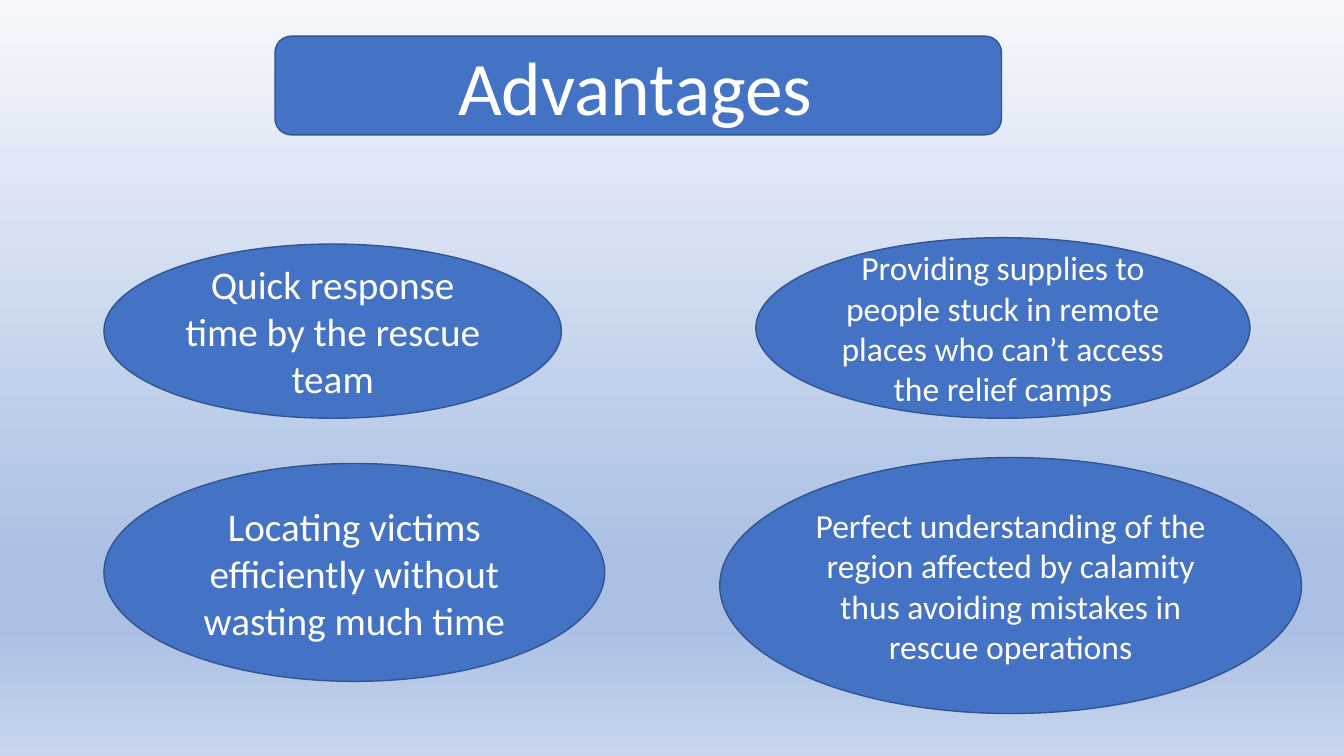
import lxml.etree
import pptx
import pptx.dml.color
import pptx.enum.shapes
import pptx.enum.text
import pptx.oxml.ns
import pptx.util

Cm = pptx.util.Cm
RGBColor = pptx.dml.color.RGBColor
SHAPES = pptx.enum.shapes.MSO_SHAPE

BLUE = RGBColor(0x44, 0x72, 0xC4)
OUTLINE = RGBColor(0x32, 0x54, 0x91)
WHITE = RGBColor(0xFF, 0xFF, 0xFF)
SKY_TOP = RGBColor(0xF6, 0xF8, 0xFC)
SKY_DEEP = RGBColor(0xAB, 0xC0, 0xE4)
SKY_BOTTOM = RGBColor(0xC7, 0xD5, 0xED)
SKY = [(0, SKY_TOP), (74, SKY_DEEP), (83, SKY_DEEP), (100, SKY_BOTTOM)]

# Each column: left edge, text size, then (top, width, height, text) per advantage
COLUMNS = [
    (28, [
        (2.62, 6.15, 11.53, 4.39, "Quick response time by the rescue team"),
        (2.62, 11.68, 12.62, 5.49,
         "Locating victims efficiently without wasting much time"),
    ]),
    (24, [
        (19.05, 5.99, 12.45, 4.55,
         "Providing supplies to people stuck in remote places "
         "who can’t access the relief camps"),
        (18.14, 11.53, 14.66, 6.45,
         "Perfect understanding of the region affected by calamity "
         "thus avoiding mistakes in rescue operations"),
    ]),
]


def add_text(paragraph, text, *, size, color=WHITE, font="Calibri"):
    run = paragraph.add_run()
    run.text = text
    run.font.size = pptx.util.Pt(size)
    run.font.name = font
    run.font.color.rgb = color


def add_panel(slide, outline, box):
    """Add a blue panel and return its centred paragraph."""
    panel = slide.shapes.add_shape(outline, *(Cm(length) for length in box))
    panel.shadow.inherit = False
    panel.fill.solid()
    panel.fill.fore_color.rgb = BLUE
    panel.line.color.rgb = OUTLINE
    panel.line.width = pptx.util.Pt(1)
    frame = panel.text_frame
    frame.word_wrap = True
    frame.vertical_anchor = pptx.enum.text.MSO_ANCHOR.MIDDLE
    paragraph = frame.paragraphs[0]
    paragraph.alignment = pptx.enum.text.PP_ALIGN.CENTER
    return paragraph


def paint_background(slide):
    fill = slide.background.fill
    fill.gradient()
    fill.gradient_angle = 270  # top to bottom
    qn = pptx.oxml.ns.qn
    stops = next(slide.element.iter(qn("a:gsLst")))
    for stop in list(stops):
        stops.remove(stop)
    for percent, color in SKY:
        stop = lxml.etree.SubElement(stops, qn("a:gs"), pos=str(percent * 1000))
        lxml.etree.SubElement(stop, qn("a:srgbClr"), val=str(color))


def add_title(slide, box):
    heading = add_panel(slide, SHAPES.ROUNDED_RECTANGLE, box)
    add_text(heading, "Advantages", size=54)
    add_text(heading, " ", size=18)


def add_advantage(slide, box, text, size):
    add_text(add_panel(slide, SHAPES.OVAL, box), text, size=size)


def main():
    deck = pptx.Presentation()
    deck.slide_width, deck.slide_height = Cm(33.87), Cm(19.05)
    slide = deck.slides.add_slide(deck.slide_layouts[6])

    paint_background(slide)
    add_title(slide, (6.93, 0.91, 18.31, 2.49))

    # Advantages, column by column
    for size, advantages in COLUMNS:
        for *box, text in advantages:
            add_advantage(slide, box, text, size)

    deck.save("out.pptx")


if __name__ == "__main__":
    main()
